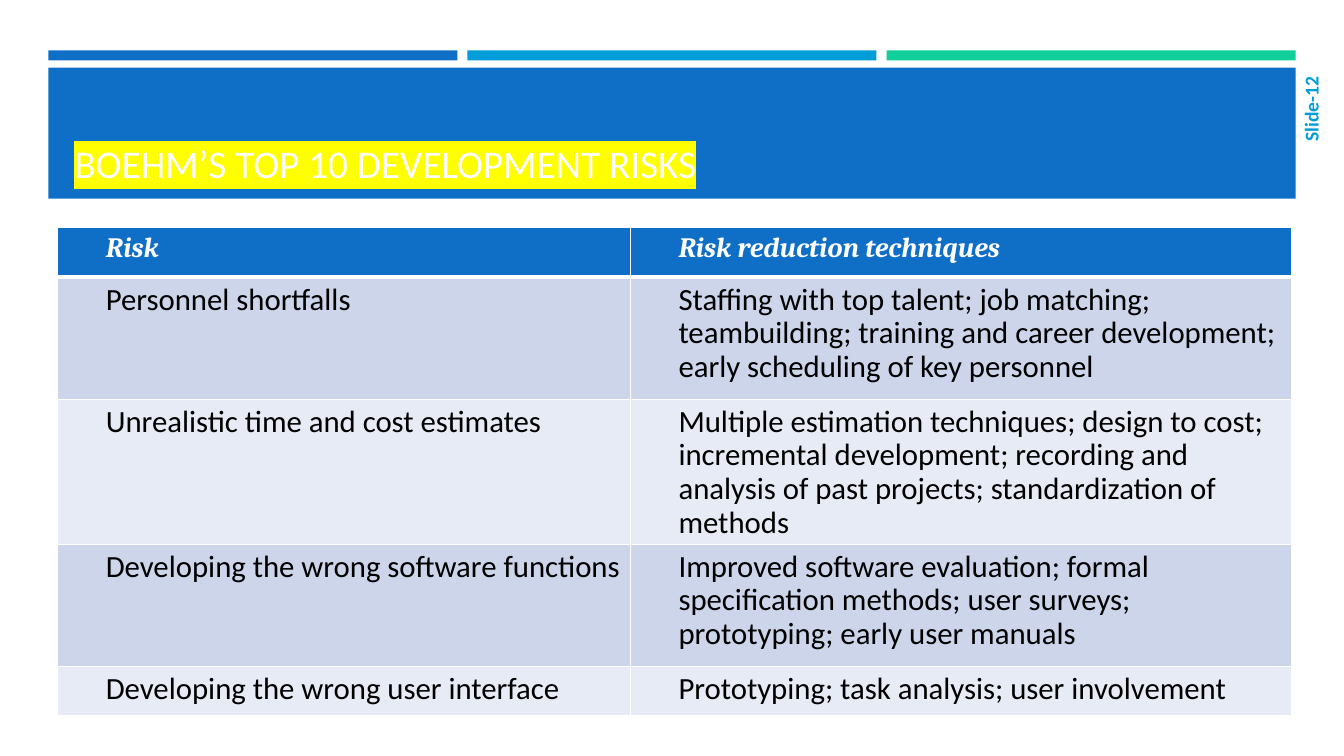
from dataclasses import dataclass

from lxml import etree
from pptx import Presentation
from pptx.dml.color import RGBColor
from pptx.enum import shapes, text
from pptx.oxml.ns import qn
from pptx.util import Inches, Pt


@dataclass(frozen=True)
class Theme:
    blue: str = "0F6FC6"
    cyan: str = "009DD9"
    green: str = "10CF9B"
    white: str = "FFFFFF"
    black: str = "000000"
    yellow: str = "FFFF00"
    bands: tuple = ("CCD5EA", "E7EBF5")
    body_font: str = "Calibri"
    header_font: str = "Cambria"
    title_size: int = 28
    body_size: int = 22
    header_size: int = 20
    number_size: int = 14


THEME = Theme()
HEADINGS = ("Risk", "Risk reduction techniques")
RISKS = (
    ("Personnel shortfalls",
     "Staffing with top talent; job matching; teambuilding; training and "
     "career development; early scheduling of key personnel"),
    ("Unrealistic time and cost estimates",
     "Multiple estimation techniques; design to cost; incremental development; "
     "recording and analysis of past projects; standardization of methods"),
    ("Developing the wrong software functions",
     "Improved software evaluation; formal specification methods; "
     "user surveys; prototyping; early user manuals"),
    ("Developing the wrong user interface",
     "Prototyping; task analysis; user involvement"),
)


def add_solid_color(parent, color):
    fill = etree.SubElement(parent, qn("a:solidFill"))
    etree.SubElement(fill, qn("a:srgbClr"), val=color)


def write_text(frame, content, *, size, color, font=THEME.body_font, bold=False,
               italic=False, align=text.PP_ALIGN.LEFT, spacing=None,
               indent=0, highlight=None):
    frame.word_wrap = True
    paragraph = frame.paragraphs[0]
    paragraph.alignment = align
    if spacing:
        paragraph.line_spacing = spacing
    if indent:
        properties = paragraph._p.get_or_add_pPr()
        properties.set("marL", str(Inches(indent)))
        properties.set("indent", "0")
    run = paragraph.add_run()
    run.text = content
    run.font.size = Pt(size)
    run.font.bold, run.font.italic = bold, italic
    run.font.color.rgb = RGBColor.from_string(color)
    if highlight:
        marker = etree.Element(qn("a:highlight"))
        etree.SubElement(marker, qn("a:srgbClr"), val=highlight)
        run._r.rPr.find(qn("a:solidFill")).addnext(marker)
    run.font.name = font


def set_insets(holder, left, top, right, bottom):
    holder.margin_left, holder.margin_top = Inches(left), Inches(top)
    holder.margin_right, holder.margin_bottom = Inches(right), Inches(bottom)


def add_bar(slide, left, top, width, height, color):
    bar = slide.shapes.add_shape(
        shapes.MSO_SHAPE.RECTANGLE,
        Inches(left), Inches(top), Inches(width), Inches(height))
    bar.shadow.inherit = False
    bar.fill.solid()
    bar.fill.fore_color.rgb = RGBColor.from_string(color)
    bar.line.fill.background()


def add_header(slide, left, top, width, height, title):
    """Three accent bars above a title band."""
    gap, bar_height, band_offset = 0.1, 0.1, 0.17
    bar_width = (width - 2 * gap) / 3
    for index, color in enumerate((THEME.blue, THEME.cyan, THEME.green)):
        add_bar(slide, left + index * (bar_width + gap), top,
                bar_width, bar_height, color)
    add_bar(slide, left, top + band_offset, width, height - band_offset, THEME.blue)

    title_box = slide.shapes.add_textbox(
        Inches(left + 0.16), Inches(top + 0.27),
        Inches(width - 0.31), Inches(height - 0.36))
    frame = title_box.text_frame
    set_insets(frame, 0.1, 0.05, 0.1, 0.03)
    frame.vertical_anchor = text.MSO_ANCHOR.BOTTOM
    write_text(frame, title, size=THEME.title_size, color=THEME.white,
               highlight=THEME.yellow)


def add_slide_number(slide, left, top, width, height, label):
    number_box = slide.shapes.add_textbox(
        Inches(left), Inches(top), Inches(width), Inches(height))
    frame = number_box.text_frame
    set_insets(frame, 0, 0.05, 0, 0.05)
    frame.vertical_anchor = text.MSO_ANCHOR.MIDDLE
    frame._txBody.bodyPr.set("vert", "vert270")
    write_text(frame, label, size=THEME.number_size, color=THEME.cyan,
               bold=True, align=text.PP_ALIGN.RIGHT)


def set_borders(cell, **widths):
    """Draw white left, right, top and bottom borders, widths in points."""
    properties = cell._tc.get_or_add_tcPr()
    for side in "LRTB":
        border = etree.SubElement(properties, qn(f"a:ln{side}"),
                                  w=str(Pt(widths.get(side, 1))))
        add_solid_color(border, THEME.white)


def add_risk_table(slide, left, top, width, height):
    line_heights = (0.49, 1.21, 1.21, 1.21, 0.49)
    risk_width = 5.68
    table = slide.shapes.add_table(
        len(RISKS) + 1, len(HEADINGS),
        Inches(left), Inches(top), Inches(width), Inches(height)).table
    for column, column_width in zip(table.columns, (risk_width, width - risk_width)):
        column.width = Inches(column_width)
    for row, row_height in zip(table.rows, line_heights):
        row.height = Inches(row_height)

    heading_style = dict(size=THEME.header_size, color=THEME.white,
                         font=THEME.header_font, bold=True, italic=True)
    risk_style = dict(size=THEME.body_size, color=THEME.black)
    for row_index, entries in enumerate((HEADINGS, *RISKS)):
        is_heading = row_index == 0
        fill = THEME.blue if is_heading else THEME.bands[(row_index - 1) % 2]
        style = heading_style if is_heading else risk_style
        for column_index, entry in enumerate(entries):
            cell = table.cell(row_index, column_index)
            set_insets(cell, 0.1, 0.06, 0.1, 0.06)
            set_borders(cell, T=3 if row_index == 1 else 1, B=3 if is_heading else 1)
            cell.fill.solid()
            cell.fill.fore_color.rgb = RGBColor.from_string(fill)
            write_text(cell.text_frame, entry, spacing=0.9, indent=0.38, **style)


def main():
    deck = Presentation()
    deck.slide_width, deck.slide_height = Inches(13.33), Inches(7.5)
    slide = deck.slides.add_slide(deck.slide_layouts[6])
    add_header(slide, 0.48, 0.5, 12.37, 1.47, "BOEHM’S TOP 10 DEVELOPMENT RISKS")
    add_slide_number(slide, 12.87, 0.66, 0.26, 1.03, "Slide-12")
    add_risk_table(slide, 0.57, 2.26, 12.24, 4.61)
    deck.save("out.pptx")


if __name__ == "__main__":
    main()
